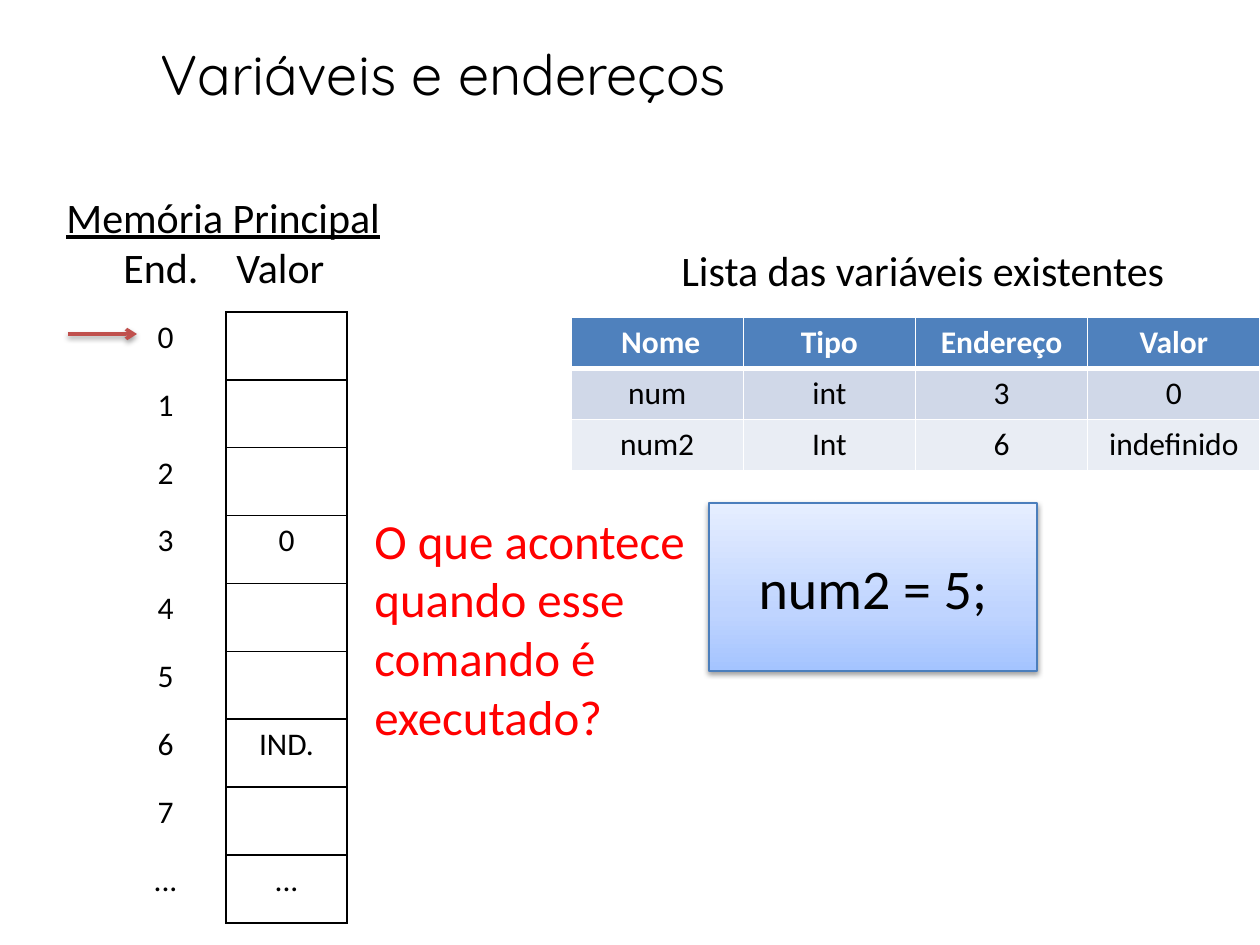
from copy import deepcopy
from dataclasses import dataclass

from lxml import etree
from pptx import Presentation
from pptx import util as u
from pptx.dml.color import RGBColor
from pptx.enum import shapes, text
from pptx.oxml.ns import qn

PX = 914400 / 126


@dataclass(frozen=True)
class Theme:
    body: str = "Calibri"
    heading: str = "Quicksand"
    ink: str = "000000"
    paper: str = "FFFFFF"
    alert: str = "FF0000"
    arrow: str = "C0504D"
    header: str = "4F81BD"
    bands: tuple = ("D0D8E8", "E9EDF4")
    outline: str = "4B7EBC"
    glow: tuple = ((0, "A4C4FF"), (0.35, "BFD4FF"), (1, "E6EEFF"))
    cell_size: int = 18
    label_size: int = 24
    question_size: int = 28
    title_size: int = 32


THEME = Theme()


def px(length):
    """Turn pixels into EMU."""
    return u.Emu(round(length * PX))


def rgb(value):
    """Turn a hex string into a colour."""
    return RGBColor.from_string(value)


def write(paragraph, words, size=THEME.label_size, color=THEME.ink, font=THEME.body,
          align=None, bold=False, underline=False):
    """Add one formatted run to a paragraph and return it."""
    run = paragraph.add_run()
    run.text = words
    run.font.size = u.Pt(size)
    run.font.name = font
    run.font.color.rgb = rgb(color)
    run.font.bold = bold
    run.font.underline = underline
    paragraph.alignment = align
    return run


def cast_shadow(previous, blur=40000, distance=20000, direction=90, alpha=38):
    """Put a black outer shadow right after a property element."""
    effects = etree.Element(qn("a:effectLst"))
    shadow = etree.SubElement(effects, qn("a:outerShdw"), blurRad=str(blur),
                              dist=str(distance), dir=str(direction * 60000), rotWithShape="0")
    color = etree.SubElement(shadow, qn("a:srgbClr"), val=THEME.ink)
    etree.SubElement(color, qn("a:alpha"), val=str(alpha * 1000))
    previous.addnext(effects)


def set_borders(cell, sides, color, width=1):
    """Draw the named sides of a cell, ahead of its fill."""
    properties = cell._tc.get_or_add_tcPr()
    for place, side in enumerate(sides):
        line = etree.Element(qn(f"a:ln{side}"), w=str(u.Pt(width)))
        fill = etree.SubElement(line, qn("a:solidFill"))
        etree.SubElement(fill, qn("a:srgbClr"), val=color)
        properties.insert(place, line)


def add_grid(slide, box, rows):
    """Add a table of equal cells with centred text and return it."""
    left, top, width, height = box
    table = slide.shapes.add_table(len(rows), len(rows[0]), *map(px, box)).table
    for column in table.columns:
        column.width = px(width / len(rows[0]))
    for row in table.rows:
        row.height = px(height / len(rows))
    return table


def add_label(slide, box, wrap=False):
    """Add a text box that grows with its text and return its frame."""
    frame = slide.shapes.add_textbox(*map(px, box)).text_frame
    frame.word_wrap = wrap
    frame.auto_size = text.MSO_AUTO_SIZE.SHAPE_TO_FIT_TEXT
    return frame


def add_title(slide, box):
    """Place the slide title with its soft text shadow."""
    title = slide.shapes.title
    title.left, title.top, title.width, title.height = map(px, box)
    title.text_frame.vertical_anchor = text.MSO_ANCHOR.MIDDLE
    run = write(title.text_frame.paragraphs[0], "Variáveis e endereços ", THEME.title_size,
                font=THEME.heading, align=text.PP_ALIGN.CENTER)
    cast_shadow(run.font._element.find(qn("a:solidFill")), 38100, 38100, 45, 43)


def add_memory(slide, box):
    """Draw main memory: headings, addressed cells and the arrow to address 0."""
    left, top, width, height = box
    frame = add_label(slide, (left, top, width, 115))
    write(frame.paragraphs[0], "Memória Principal", underline=True)
    headings = frame.add_paragraph()
    write(headings, "\tEnd.\tValor")
    stops = etree.SubElement(headings._p.get_or_add_pPr(), qn("a:tabLst"))
    for stop in (57, 170):
        etree.SubElement(stops, qn("a:tab"), pos=str(px(stop)), algn="l")

    values = {3: "0", 6: "IND."}
    rows = [(str(address), values.get(address, "")) for address in range(8)]
    rows.append(("...", "..."))
    table = add_grid(slide, (left + 51, top + 127, 242, height - 127), rows)
    table.first_row = table.horz_banding = False
    for i, row in enumerate(rows):
        for j, words in enumerate(row):
            cell = table.cell(i, j)
            cell.fill.background()
            set_borders(cell, "LRTB" if j else "R", THEME.ink)
            if words:
                write(cell.text_frame.paragraphs[0], words, THEME.cell_size,
                      align=text.PP_ALIGN.CENTER)

    level = top + 149
    arrow = slide.shapes.add_connector(shapes.MSO_CONNECTOR.STRAIGHT, px(left + 14), px(level),
                                       px(left + 83), px(level))
    arrow.line.color.rgb = rgb(THEME.arrow)
    arrow.line.width = u.Pt(2)
    line = arrow.line._get_or_add_ln()
    etree.SubElement(line, qn("a:tailEnd"), type="arrow")
    cast_shadow(line)


def add_variables(slide, box):
    """Draw the list of existing variables under its caption."""
    left, top, width, height = box
    caption = add_label(slide, (left + 98, top, 513, 63))
    write(caption.paragraphs[0], "Lista das variáveis existentes")
    rows = [(" Nome", "Tipo", "Endereço", "Valor"),
            ("num", "int", "3", "0"),
            ("num2", "Int", "6", "indefinido")]
    table = add_grid(slide, (left, top + 79, width, height - 79), rows)
    for i, (row, fill) in enumerate(zip(rows, (THEME.header, *THEME.bands))):
        for j, words in enumerate(row):
            cell = table.cell(i, j)
            cell.fill.solid()
            cell.fill.fore_color.rgb = rgb(fill)
            set_borders(cell, "LRT", THEME.paper)
            if i == 0:
                cell_bottom = 3
            else:
                cell_bottom = 1
                if i == 1:
                    cell._tc.tcPr.find(qn("a:lnT")).set("w", str(u.Pt(3)))
            set_bottom(cell, cell_bottom)
            write(cell.text_frame.paragraphs[0], words, THEME.cell_size,
                  THEME.ink if i else THEME.paper, align=text.PP_ALIGN.CENTER, bold=i == 0)


def set_bottom(cell, width):
    """Draw the bottom side of a cell after its other three sides."""
    bottom = deepcopy(cell._tc.tcPr.find(qn("a:lnT")))
    bottom.tag = qn("a:lnB")
    bottom.set("w", str(u.Pt(width)))
    cell._tc.tcPr.find(qn("a:lnT")).addnext(bottom)


def add_command(slide, box):
    """Ask what the command does, beside the command itself."""
    left, top, width, height = box
    command = slide.shapes.add_shape(shapes.MSO_SHAPE.RECTANGLE, px(left + 347), px(top),
                                     px(width - 347), px(168))
    command.fill.gradient()
    command.fill.gradient_angle = 90
    stops = command._element.spPr.find(".//" + qn("a:gsLst"))
    stops.insert(1, deepcopy(stops[0]))
    for stop, (position, color) in zip(command.fill.gradient_stops, THEME.glow):
        stop.position = position
        stop.color.rgb = rgb(color)
    command.line.color.rgb = rgb(THEME.outline)
    command.line.width = u.Pt(0.75)
    cast_shadow(command.line._get_or_add_ln())
    command.text_frame.vertical_anchor = text.MSO_ANCHOR.MIDDLE
    write(command.text_frame.paragraphs[0], "num2 = 5;", THEME.title_size,
          align=text.PP_ALIGN.CENTER)
    question = add_label(slide, (left, top + 1, 338, height - 1), wrap=True)
    write(question.paragraphs[0], "O que acontece quando esse comando é executado?",
          THEME.question_size, THEME.alert)


def main():
    """Build the slide and save it."""
    deck = Presentation()
    deck.slide_width, deck.slide_height = px(1260), px(945)
    slide = deck.slides.add_slide(deck.slide_layouts[5])
    add_title(slide, (0, 20, 903, 106))
    add_memory(slide, (54, 185, 341, 738))
    add_variables(slide, (571, 238, 689, 233))
    add_command(slide, (362, 503, 675, 252))
    deck.save("out.pptx")


if __name__ == "__main__":
    main()
